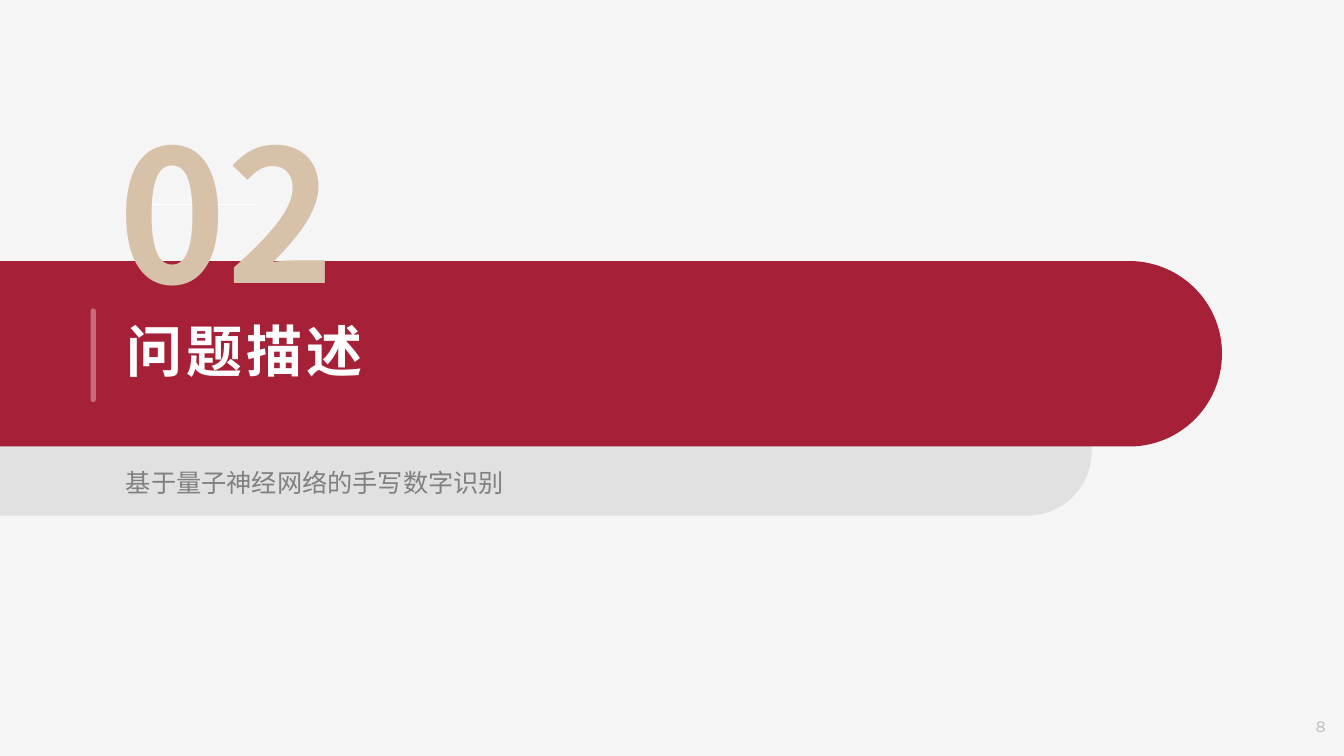
from dataclasses import dataclass

from lxml.etree import SubElement
from pptx import Presentation
from pptx.dml.color import RGBColor
from pptx.enum.shapes import MSO_CONNECTOR, MSO_SHAPE
from pptx.enum.text import MSO_ANCHOR, PP_ALIGN
from pptx.oxml.ns import qn
from pptx.util import Inches, Pt

COLORS = {"page": "F5F5F5", "grey": "D9D9D9", "crimson": "A62038", "white": "FFFFFF",
          "subtitle": "808080", "number": "BFBFBF", "sand": "D7C1A9"}
CJK = "Noto Sans CJK SC"
WIDTH, HEIGHT = Inches(13.33), Inches(7.5)
TEXT_LEFT, TEXT_WIDTH = 8.63, 84.25


@dataclass(frozen=True)
class Area:
    """Place in percent of the slide's width and height."""
    left: float
    top: float
    width: float
    height: float

    def lengths(self) -> tuple[int, int, int, int]:
        return (across(self.left), down(self.top), across(self.width), down(self.height))


@dataclass(frozen=True)
class Band:
    area: Area
    color: str
    opacity: int = 100
    far_round: float = 0.0
    sideways: bool = True


@dataclass(frozen=True)
class Label:
    area: Area
    text: str
    size: float
    color: str
    font: str = CJK
    bold: bool = False
    align: PP_ALIGN = PP_ALIGN.LEFT
    anchor: MSO_ANCHOR = MSO_ANCHOR.TOP
    line_spacing: float = 1.0
    tracking: int = 0


def across(percent: float) -> int:
    return round(WIDTH * percent / 100)


def down(percent: float) -> int:
    return round(HEIGHT * percent / 100)


def rgb(name: str) -> RGBColor:
    return RGBColor.from_string(COLORS[name])


def draw_band(page, band: Band) -> None:
    left, top, width, height = band.area.lengths()
    if band.sideways:  # a quarter turn about the centre puts the rounded end right
        left, top = left + (width - height) // 2, top + (height - width) // 2
        width, height = height, width
    shape = page.shapes.add_shape(MSO_SHAPE.ROUND_2_SAME_RECTANGLE, left, top, width, height)
    shape.rotation = 90 if band.sideways else 0
    shape.adjustments[0], shape.adjustments[1] = 0.5, band.far_round
    shape.shadow.inherit = False
    shape.line.fill.background()
    shape.fill.solid()
    shape.fill.fore_color.rgb = rgb(band.color)
    if band.opacity < 100:
        color = shape.element.spPr.find(qn("a:solidFill")).find(qn("a:srgbClr"))
        SubElement(color, qn("a:alpha"), val=str(band.opacity * 1000))


def write(box, label: Label) -> None:
    box.left, box.top, box.width, box.height = label.area.lengths()
    frame = box.text_frame
    frame.text = label.text
    frame.word_wrap = True
    frame.vertical_anchor = label.anchor
    para = frame.paragraphs[0]
    para.alignment = label.align
    para.line_spacing = label.line_spacing
    para.space_before = Pt(0)
    span = para.runs[0]
    span.font.size = Pt(label.size)
    span.font.bold = label.bold
    span.font.color.rgb = rgb(label.color)
    span.font.name = label.font
    properties = span.font._element
    SubElement(properties, qn("a:ea"), typeface=label.font)
    if label.tracking:
        properties.set("spc", str(label.tracking))


def add_label(page, label: Label) -> None:
    write(page.shapes.add_textbox(*label.area.lengths()), label)


BANDS = [
    Band(Area(0, 51.27, 81.22, 16.93), "grey", opacity=71),
    Band(Area(0, 34.53, 90.92, 24.53), "crimson"),
]
ACCENT = Band(Area(6.75, 40.8, 0.38, 12.4), "white", opacity=35, far_round=0.5, sideways=False)
TITLE = Label(Area(TEXT_LEFT, 41.6, TEXT_WIDTH, 10.53), "问题描述", 40, "white", bold=True,
              anchor=MSO_ANCHOR.MIDDLE, line_spacing=0.9, tracking=300)
SUBTITLE = Label(Area(TEXT_LEFT, 60.13, TEXT_WIDTH, 22.4), "基于量子神经网络的手写数字识别",
                 18, "subtitle", align=PP_ALIGN.JUSTIFY, line_spacing=1.25)
PAGE_NUMBER = Label(Area(90.92, 93.47, 8.48, 5.07), "8", 12, "number", font="Karla",
                    align=PP_ALIGN.RIGHT, anchor=MSO_ANCHOR.MIDDLE)
SECTION = Label(Area(2.85, 12.53, 27.98, 30.67), "02", 131, "sand", bold=True,
                align=PP_ALIGN.CENTER)


def main() -> None:
    deck = Presentation()
    deck.slide_width, deck.slide_height = WIDTH, HEIGHT
    page = deck.slides.add_slide(deck.slide_layouts[5])
    page.background.fill.solid()
    page.background.fill.fore_color.rgb = rgb("page")

    # Bands behind the title
    for band in BANDS:
        draw_band(page, band)

    # Title, brought in front of the bands
    title = page.shapes.title
    title.element.getparent().append(title.element)
    write(title, TITLE)

    # Subtitle and page number
    add_label(page, SUBTITLE)
    add_label(page, PAGE_NUMBER)

    # Thin rule behind the section number
    rule = page.shapes.add_connector(MSO_CONNECTOR.STRAIGHT, across(9.45), down(27.07),
                                     across(19.05), down(27.07))
    rule.line.color.rgb = rgb("white")
    rule.line.width = Pt(0.5)
    SubElement(rule.element.spPr, qn("a:effectLst"))

    # Accent bar and section number
    draw_band(page, ACCENT)
    add_label(page, SECTION)
    deck.save("out.pptx")


if __name__ == "__main__":
    main()
